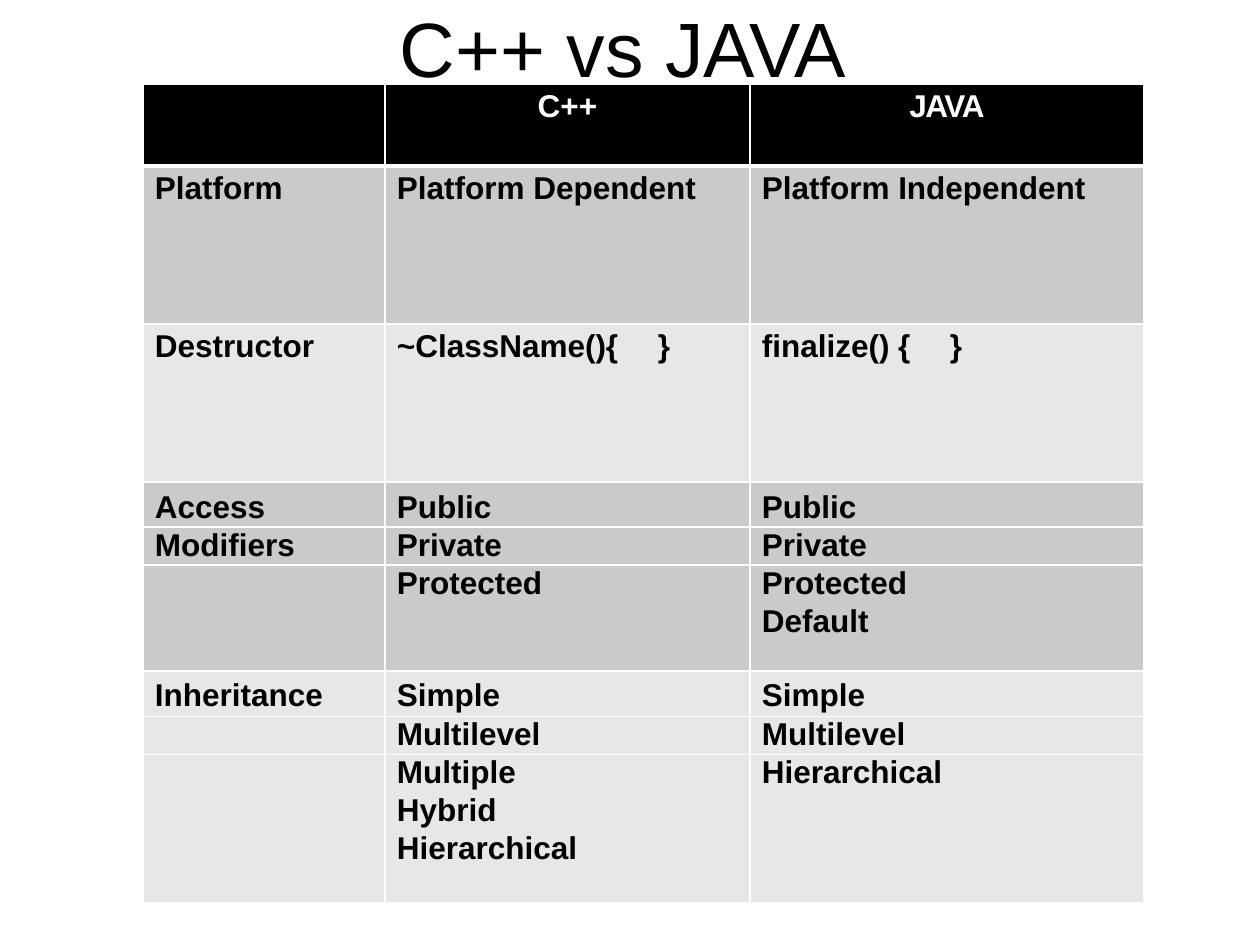
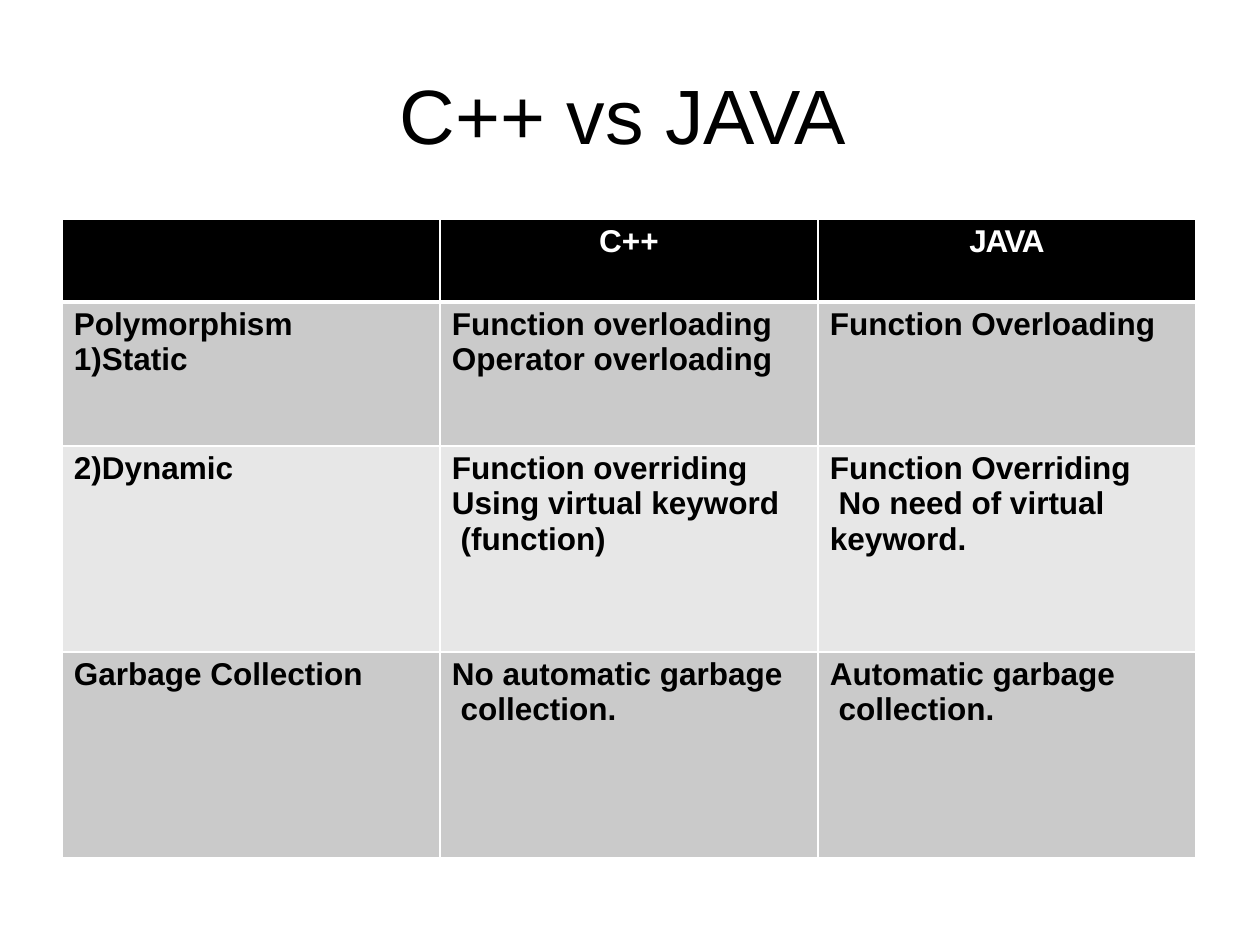
from lxml.etree import SubElement as Sub
from pptx import Presentation
from pptx.dml.color import RGBColor as RGB
from pptx.enum.text import MSO_ANCHOR as Anchor, MSO_AUTO_SIZE as Auto, PP_ALIGN as Align
from pptx.oxml.ns import qn
from pptx.util import Pt

PX = 914400 / 126
BLACK = RGB(0x00, 0x00, 0x00)
WHITE = RGB(0xFF, 0xFF, 0xFF)
DARK = RGB(0xCA, 0xCA, 0xCA)
LIGHT = RGB(0xE7, 0xE7, 0xE7)
FONT = "Arial"
PLAIN = "{2D5ABB26-0587-4C30-8999-92F81FD0307C}"
HEAD = ["", "C++", "JAVA"]
FULL = (5, None)
FIRST = (5, 21.6)
NEXT = (0, 20.6)


def px(n):
    return round(n * PX)


def edge(cell, side, width):
    line = Sub(cell._tc.get_or_add_tcPr(), qn("a:ln" + side), w=str(Pt(width)))
    Sub(Sub(line, qn("a:solidFill")), qn("a:srgbClr"), val=str(WHITE))


# height, fill, line below, (top margin, line spacing), texts
BASICS = [
    (82, BLACK, 3, FULL, HEAD),
    (158, DARK, 1, FULL, ["Platform", "Platform Dependent", "Platform Independent"]),
    (158, LIGHT, 1, FULL, ["Destructor", "~ClassName(){\t}", "finalize() {\t}"]),
    (45, DARK, 1, FIRST, ["Access", "Public", "Public"]),
    (38, DARK, 0, NEXT, ["Modifiers", "Private", "Private"]),
    (38, DARK, 0, NEXT, ["", "Protected", "Protected"]),
    (68, DARK, 1, NEXT, ["", "", "Default"]),
    (45, LIGHT, 0.5, FIRST, ["Inheritance", "Simple", "Simple"]),
    (38, LIGHT, 0, NEXT, ["", "Multilevel", "Multilevel"]),
    (38, LIGHT, 0, NEXT, ["", "Multiple", "Hierarchical"]),
    (38, LIGHT, 0, NEXT, ["", "Hybrid", ""]),
    (73, LIGHT, 1, NEXT, ["", "Hierarchical", ""]),
]
MORE = [
    (83, BLACK, 3, FULL, HEAD),
    (144, DARK, 1, FULL, ["Polymorphism\n1)Static",
                          "Function overloading\nOperator overloading",
                          "Function Overloading"]),
    (206, LIGHT, 1, FULL, ["2)Dynamic",
                           "Function overriding\vUsing virtual keyword\v (function)",
                           "Function Overriding\v No need of virtual\vkeyword."]),
    (206, DARK, 1, FULL, ["Garbage Collection",
                          "No automatic garbage\v collection.",
                          "Automatic garbage\v collection."]),
]
PAGES = [
    (0, 143, 84, [242, 365, 394], BASICS),
    (67, 62, 219, [378, 378, 378], MORE),
]
TABS = {1: 261, 2: 188}

deck = Presentation()
deck.slide_width, deck.slide_height = px(1260), px(945)

for top, left, start, cols, rows in PAGES:
    slide = deck.slides.add_slide(deck.slide_layouts[5])
    title = slide.shapes.title
    title.left, title.top, title.width, title.height = px(399), px(top), px(462), px(96)
    frame = title.text_frame
    frame.text = "C++ vs JAVA"
    frame.auto_size = Auto.NONE
    frame.vertical_anchor = Anchor.TOP
    frame.margin_left = px(1)
    frame.margin_top = px(1)
    frame.margin_right = frame.margin_bottom = 0
    para = frame.paragraphs[0]
    para.alignment = Align.LEFT
    para.font.name, para.font.size = FONT, Pt(44)
    para.font.color.rgb = BLACK

    high = sum(row[0] for row in rows)
    grid = slide.shapes.add_table(len(rows), len(cols), px(left), px(start),
                                  px(sum(cols)), px(high)).table
    grid._tbl.tblPr.find(qn("a:tableStyleId")).text = PLAIN
    grid.horz_banding = False
    for col, wide in zip(grid.columns, cols):
        col.width = px(wide)

    above = 1
    for r, (tall, fill, below, (inset, lead), texts) in enumerate(rows):
        grid.rows[r].height = px(tall)
        for c, text in enumerate(texts):
            cell = grid.cell(r, c)
            for side, width in zip("LRTB", (1, 1, above, below)):
                if width:
                    edge(cell, side, width)
            cell.fill.solid()
            cell.fill.fore_color.rgb = fill
            cell.margin_left = 0 if r == 0 else px(12)
            cell.margin_right = cell.margin_bottom = 0
            cell.margin_top = px(inset)
            cell.text = text
            for para in cell.text_frame.paragraphs:
                if lead:
                    para.line_spacing = Pt(lead)
                if "\t" in text:
                    stops = Sub(para._p.get_or_add_pPr(), qn("a:tabLst"))
                    Sub(stops, qn("a:tab"), pos=str(px(TABS[c])), algn="l")
                if r == 0:
                    para.alignment = Align.CENTER
                para.font.name, para.font.size = FONT, Pt(18)
                para.font.bold = True
                para.font.color.rgb = WHITE if r == 0 else BLACK
                if text == "JAVA":
                    para.runs[0]._r.get_or_add_rPr().set("spc", "-80")
        above = below

deck.save("out.pptx")
